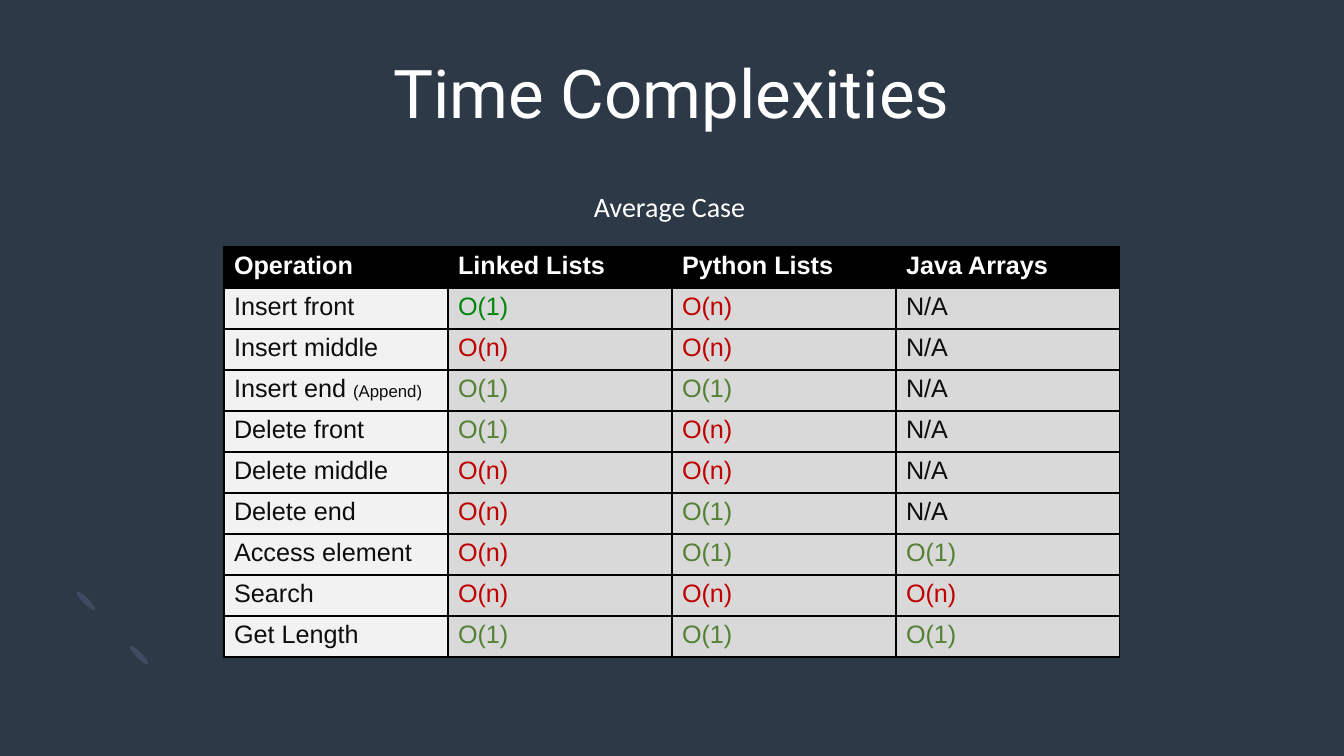
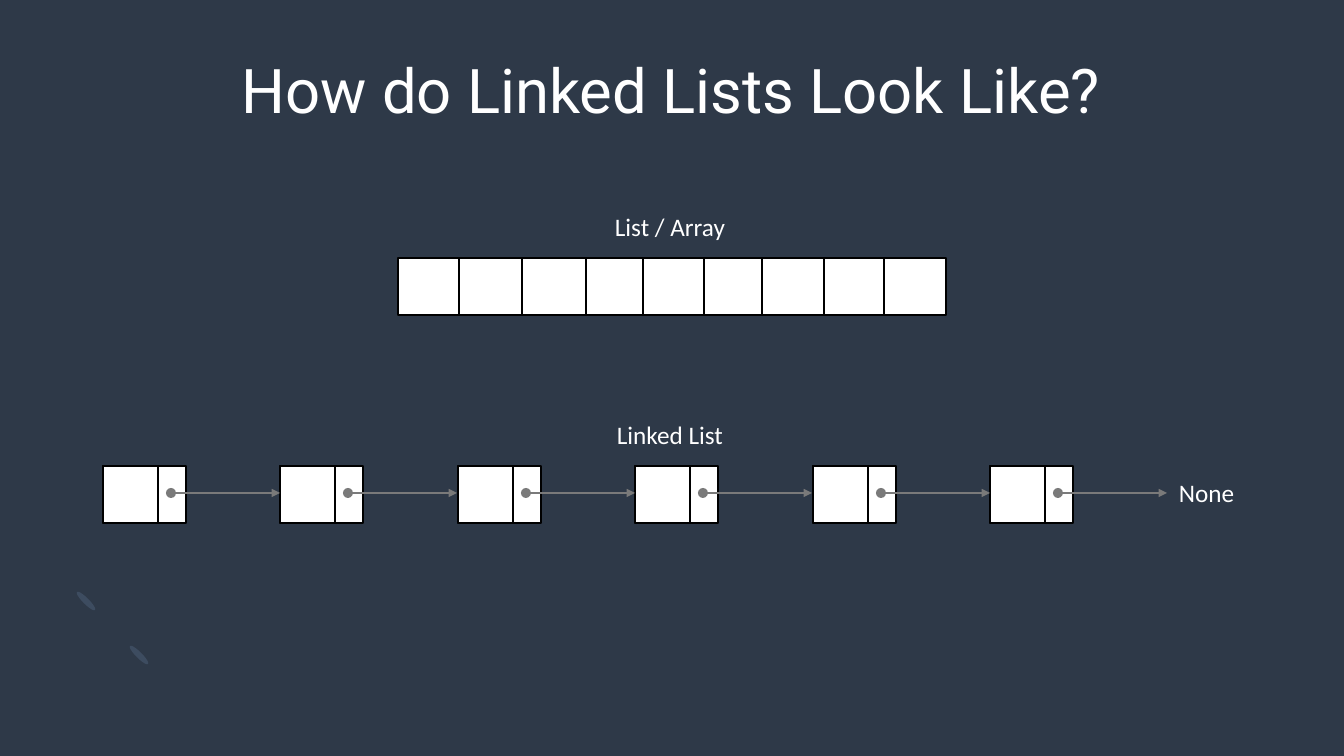
from lxml import etree
from pptx import Presentation
from pptx.dml.color import RGBColor
from pptx.enum.shapes import MSO_CONNECTOR, MSO_SHAPE
from pptx.enum.text import MSO_ANCHOR, MSO_AUTO_SIZE, PP_ALIGN
from pptx.oxml.ns import qn
from pptx.util import Emu, Pt

RECT, OVAL = MSO_SHAPE.RECTANGLE, MSO_SHAPE.OVAL
STRAIGHT = MSO_CONNECTOR.STRAIGHT
CENTER, TOP = PP_ALIGN.CENTER, MSO_ANCHOR.TOP
GROW = MSO_AUTO_SIZE.SHAPE_TO_FIT_TEXT

# Shared style
EMU_PER_PX = 914400 / 100.8
NAVY = RGBColor(0x2E, 0x39, 0x48)
SLATE = RGBColor(0x3D, 0x4C, 0x60)
MIST = RGBColor(0x87, 0x9A, 0xB3)
WHITE = RGBColor(0xFF, 0xFF, 0xFF)
BLACK = RGBColor(0x00, 0x00, 0x00)
INK = RGBColor(0x0D, 0x0D, 0x0D)
PALE = RGBColor(0xF2, 0xF2, 0xF2)
SILVER = RGBColor(0xD9, 0xD9, 0xD9)
GRAY = RGBColor(0x7A, 0x7A, 0x7A)
BRIGHT_GREEN = RGBColor(0x00, 0x86, 0x0B)
GREEN = RGBColor(0x54, 0x82, 0x35)
RED = RGBColor(0xC0, 0x00, 0x00)
TITLE_FONT, LABEL_FONT, TABLE_FONT = "Roboto", "Calibri", "Arial"

# Complexity table
COST_COLORS = {"O(1)": GREEN, "O(n)": RED, "N/A": INK}
COMPLEXITIES = [
    ("Operation", "Linked Lists", "Python Lists", "Java Arrays"),
    ("Insert front", "O(1)", "O(n)", "N/A"),
    ("Insert middle", "O(n)", "O(n)", "N/A"),
    ("Insert end (Append)", "O(1)", "O(1)", "N/A"),
    ("Delete front", "O(1)", "O(n)", "N/A"),
    ("Delete middle", "O(n)", "O(n)", "N/A"),
    ("Delete end", "O(n)", "O(1)", "N/A"),
    ("Access element", "O(n)", "O(1)", "O(1)"),
    ("Search", "O(n)", "O(n)", "O(n)"),
    ("Get Length", "O(1)", "O(1)", "O(1)"),
]
COL_W, ROW_H = 224, 41

# List diagrams
BOX_H = 57
ARRAY_TOP = 258
ARRAY_EDGES = [398, 459, 522, 586, 643, 704, 762, 824, 884, 946]
NODE_COUNT, FIRST_NODE, LAST_NODE = 6, 103, 990
NODE_TOP, NODE_W, VALUE_W = 466, 83, 55
LINK_Y, LINK_START, LINK_END, DOT = 493, 66, 177, 10


def px(n):
    return Emu(round(n * EMU_PER_PX))


def box(*lengths):
    return [px(n) for n in lengths]


def style_run(r, size, font, color, bold=False):
    r.font.size, r.font.name, r.font.bold = Pt(size), font, bold
    r.font.color.rgb = color


def paint(sp, fill, line=None):
    sp.shadow.inherit = False
    sp.fill.solid()
    sp.fill.fore_color.rgb = fill
    if line is None:
        sp.line.fill.background()
    else:
        sp.line.color.rgb = line
        sp.line.width = Pt(1)
    return sp


def add_figure(s, kind, x, y, w, h, fill, line=None):
    return paint(s.shapes.add_shape(kind, *box(x, y, w, h)), fill, line)


def add_label(s, text, x, y, w, h, size=18):
    tf = s.shapes.add_textbox(*box(x, y, w, h)).text_frame
    tf.word_wrap, tf.auto_size = False, GROW
    tf.text = text
    style_run(tf.paragraphs[0].runs[0], size, LABEL_FONT, WHITE)


def add_arrow(s, x1, x2, y):
    line = s.shapes.add_connector(STRAIGHT, *box(x1, y, x2, y))
    line.line.color.rgb = GRAY
    line.line.width = Pt(1.75)
    ln = line.line._get_or_add_ln()
    etree.SubElement(ln, qn("a:tailEnd"), type="triangle")
    etree.SubElement(line.element.spPr, qn("a:effectLst"))


def add_title_slide(prs, title, size, height):
    s = prs.slides.add_slide(prs.slide_layouts[5])
    sp = s.shapes.title
    sp.left, sp.top, sp.width, sp.height = box(60, 60, 1223, height)
    tf = sp.text_frame
    tf.text = title
    tf.margin_left = tf.margin_right = tf.margin_top = tf.margin_bottom = 0
    tf.vertical_anchor, tf.auto_size = TOP, MSO_AUTO_SIZE.NONE
    p = tf.paragraphs[0]
    p.alignment, p.line_spacing = CENTER, 0.9
    style_run(p.runs[0], size, TITLE_FONT, WHITE)
    return s


# Master decoration
def curve(a, b, c, d, steps=10):
    """Points on a cubic curve, without its start."""
    points = []
    for i in range(1, steps + 1):
        t = i / steps
        weights = ((1 - t) ** 3, 3 * t * (1 - t) ** 2, 3 * t * t * (1 - t), t ** 3)
        points.append(tuple(px(sum(k * q[axis] for k, q in zip(weights, (a, b, c, d))))
                            for axis in (0, 1)))
    return points


def add_soft_arc(s):
    start, inner = (77, 664), (97, 643)
    points = curve(start, (56, 644), (58, 610), (82, 587))
    points.append((px(100), px(605)))
    points += curve((100, 605), (88, 616), (87, 634), inner)
    points += curve(inner, (107, 653), (124, 652), (136, 641))
    points.append((px(153), px(659)))
    points += curve((153, 659), (131, 681), (96, 684), start)
    builder = s.shapes.build_freeform(*box(*start))
    builder.add_line_segments(points, close=True)
    arc = paint(builder.convert_to_shape(), MIST)
    props = arc.element.spPr
    etree.SubElement(props.find(".//" + qn("a:srgbClr")), qn("a:alpha"), val="20000")
    etree.SubElement(props.find(qn("a:effectLst")), qn("a:softEdge"), rad="127000")
    return arc


def decorate_master(prs, s):
    """Draw the corner marks on a slide, then move them to the master."""
    master = prs.slide_master
    master.background.fill.solid()
    master.background.fill.fore_color.rgb = NAVY
    marks = [add_figure(s, OVAL, x, y, 6, 26, SLATE) for x, y in ((136, 642), (83, 588))]
    for mark in marks:
        mark.rotation = 135
    marks.append(add_soft_arc(s))
    for number, mark in enumerate(marks, 101):
        mark.element.find(".//" + qn("p:cNvPr")).set("id", str(number))
        master.shapes.element.append(mark.element)


# Table
def border_cell(cell):
    props = cell._tc.get_or_add_tcPr()
    for index, side in enumerate(("lnL", "lnR", "lnT", "lnB")):
        ln = etree.Element(qn("a:" + side), w=str(Pt(1)))
        fill = etree.SubElement(ln, qn("a:solidFill"))
        etree.SubElement(fill, qn("a:srgbClr"), val=str(BLACK))
        props.insert(index, ln)


def fill_cell(cell, text, color, fill, bold):
    cell.fill.solid()
    cell.fill.fore_color.rgb = fill
    border_cell(cell)
    p = cell.text_frame.paragraphs[0]
    name, bracket, note = text.partition(" (")
    parts = [(name + " ", 18), ("(" + note, 12)] if bracket else [(text, 18)]
    for part, size in parts:
        r = p.add_run()
        r.text = part
        style_run(r, size, TABLE_FONT, color, bold)


def add_complexity_table(s, x, y):
    rows, cols = len(COMPLEXITIES), len(COMPLEXITIES[0])
    table = s.shapes.add_table(rows, cols, *box(x, y, cols * COL_W, rows * ROW_H)).table
    for i, row in enumerate(COMPLEXITIES):
        table.rows[i].height = px(ROW_H)
        for j, text in enumerate(row):
            color = WHITE if i == 0 else COST_COLORS.get(text, INK)
            if (i, j) == (1, 1):
                color = BRIGHT_GREEN
            fill = BLACK if i == 0 else PALE if j == 0 else SILVER
            fill_cell(table.cell(i, j), text, color, fill, i == 0)
    for col in table.columns:
        col.width = px(COL_W)


# Diagrams
def add_array(s):
    """Nested boxes, outermost first, leave one cell border per edge."""
    for i in range(len(ARRAY_EDGES) // 2):
        left, right = ARRAY_EDGES[i], ARRAY_EDGES[-1 - i]
        add_figure(s, RECT, left, ARRAY_TOP, right - left, BOX_H, WHITE, BLACK)


def add_linked_list(s):
    span = LAST_NODE - FIRST_NODE
    lefts = [FIRST_NODE + round(i * span / (NODE_COUNT - 1)) for i in range(NODE_COUNT)]
    for x in lefts:
        for w in (NODE_W, VALUE_W):
            add_figure(s, RECT, x, NODE_TOP, w, BOX_H, WHITE, BLACK)
    for x in lefts:
        add_arrow(s, x + LINK_START, x + LINK_END, LINK_Y)
        add_figure(s, OVAL, x + LINK_START - 3, LINK_Y - DOT // 2, DOT, DOT, GRAY)


def main():
    prs = Presentation()
    prs.slide_width, prs.slide_height = box(1344, 756)

    s = add_title_slide(prs, "Time Complexities", 48, 147)
    decorate_master(prs, s)
    add_complexity_table(s, 224, 247)
    add_label(s, "Average Case", 584, 185, 177, 44, size=20)

    s = add_title_slide(prs, "How do Linked Lists Look Like?", 44, 99)
    add_array(s)
    add_label(s, "List / Array", 605, 206, 133, 40)
    add_linked_list(s)
    add_label(s, "None", 1169, 472, 79, 40)
    add_label(s, "Linked List", 607, 414, 131, 40)

    prs.save("out.pptx")


if __name__ == "__main__":
    main()
